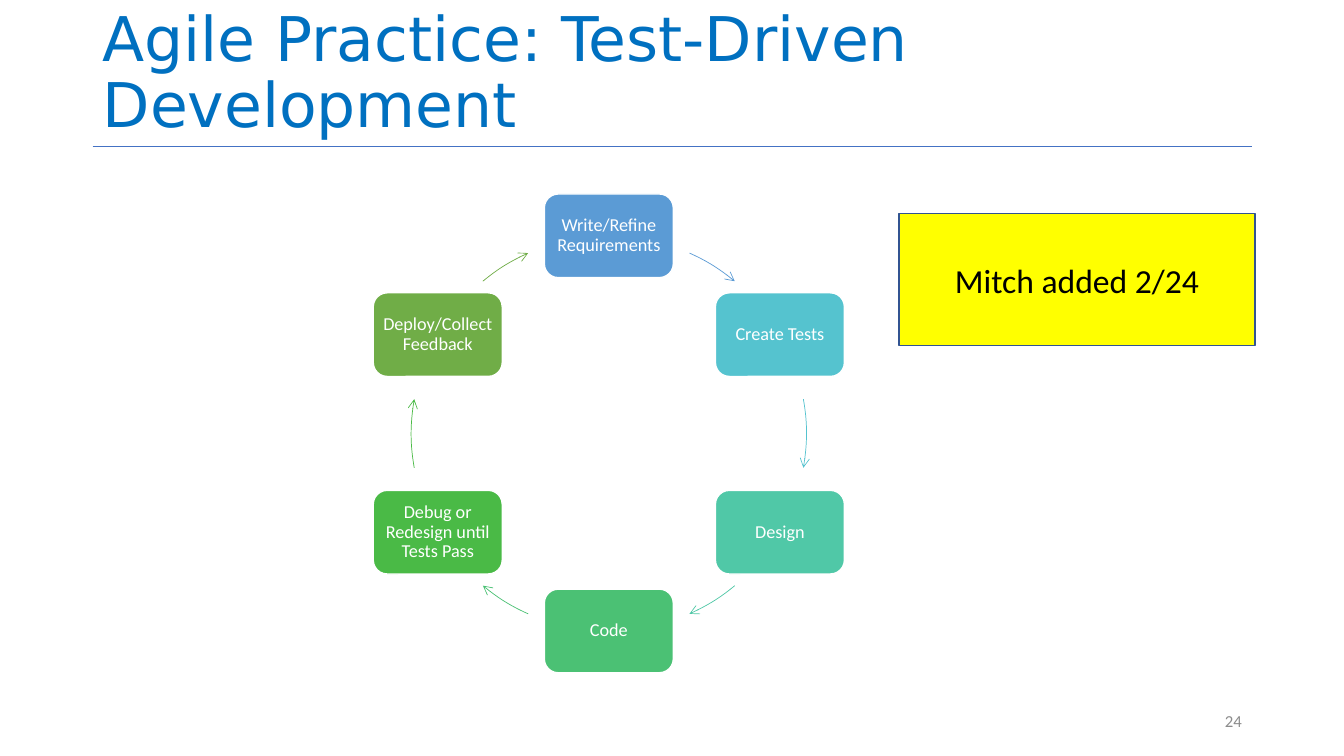
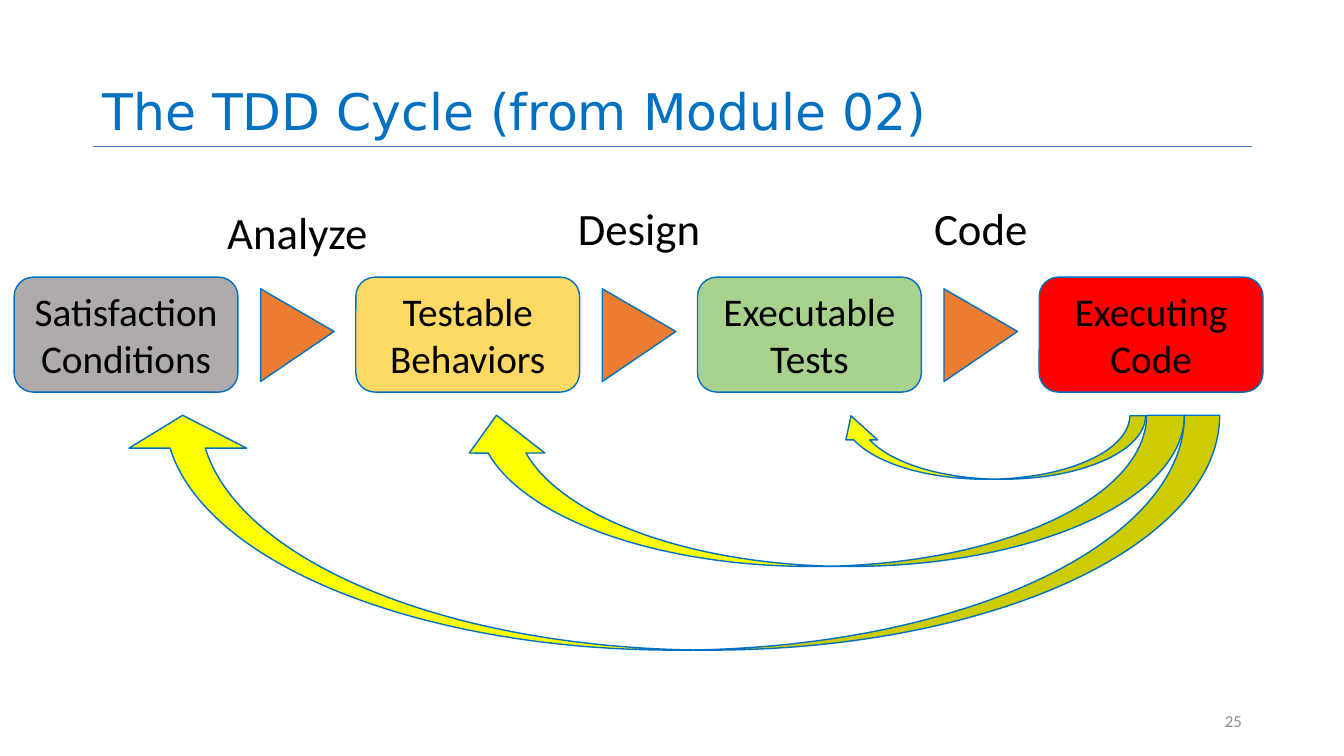
from dataclasses import dataclass
from math import cos, radians, sin, tan

from lxml.etree import SubElement
from pptx import Presentation
from pptx.dml.color import RGBColor
from pptx.enum.shapes import MSO_CONNECTOR, MSO_SHAPE
from pptx.enum.text import MSO_ANCHOR, PP_ALIGN
from pptx.oxml.ns import qn
from pptx.presentation import Presentation as Deck
from pptx.shapes.autoshape import Shape
from pptx.slide import Slide
from pptx.util import Inches, Pt

BODY_FONT = "Calibri"
TITLE_FONT = "DejaVu Sans"
BLUE = "0070C0"
RULE_BLUE = "4472C4"
BLACK = "000000"
WHITE = "FFFFFF"
GRAY = "8C8C8C"
YELLOW = "FFFF00"
ORANGE = "ED7D31"

RING_X, RING_Y, RING_RADIUS = 6.04, 4.3, 1.96
STEP_WIDTH, STEP_HEIGHT = 1.28, 0.83

STAGE_LEFT, STAGE_PITCH = 0.14, 3.39


@dataclass
class Step:
    text: str
    color: str
    arc_start: float
    arc_end: float


@dataclass
class Stage:
    text: str
    color: str


@dataclass
class Transition:
    text: str
    label_top: float


@dataclass
class Feedback:
    left: float
    top: float
    width: float
    height: float
    adjustments: tuple[float, float, float]


STEPS = [
    Step("Write/Refine Requirements", "5B9BD5", -65.9, -50.4),
    Step("Create Tests", "55C3CF", -10, 10),
    Step("Design", "50C8A7", 50.4, 65.9),
    Step("Code", "4BC174", 114.1, 129.6),
    Step("Debug or Redesign until Tests Pass", "4ABA46", 170, 190),
    Step("Deploy/Collect Feedback", "70AD47", 230.4, 245.9),
]
STAGES = [
    Stage("Satisfaction Conditions", "AFABAB"),
    Stage("Testable Behaviors", "FFD966"),
    Stage("Executable Tests", "A9D18E"),
    Stage("Executing Code", "FF0000"),
]
TRANSITIONS = [
    Transition("Analyze", 2),
    Transition("Design", 1.96),
    Transition("Code", 1.96),
]
FEEDBACKS = [
    Feedback(9.51, 2.9, 0.63, 3.08, (0.25, 0.5, 0.38)),
    Feedback(7.4, 1.27, 1.5, 7.2, (0.25, 0.5, 0.25)),
    Feedback(5.5, -0.15, 2.33, 10.87, (0.15, 0.5, 0.14)),
]


def color_of(value: str) -> RGBColor:
    return RGBColor.from_string(value)


def write(box: Shape, text: str, *, size: float, color: str = BLACK,
          font: str = BODY_FONT, align: PP_ALIGN = PP_ALIGN.CENTER,
          anchor: MSO_ANCHOR = MSO_ANCHOR.MIDDLE, spacing: float = 1.0,
          inset: float | None = None) -> None:
    frame = box.text_frame
    frame.word_wrap = True
    frame.vertical_anchor = anchor
    if inset is not None:
        frame.margin_left = frame.margin_right = Inches(inset)
        frame.margin_top = frame.margin_bottom = Inches(inset)
    para = frame.paragraphs[0]
    para.alignment = align
    para.line_spacing = spacing
    span = para.add_run()
    span.text = text
    span.font.name = font
    span.font.size = Pt(size)
    span.font.color.rgb = color_of(color)


def add_text(page: Slide, left: float, top: float, width: float, height: float,
             text: str, **text_format) -> None:
    box = page.shapes.add_textbox(Inches(left), Inches(top), Inches(width), Inches(height))
    write(box, text, **text_format)


def add_box(page: Slide, kind: MSO_SHAPE, left: float, top: float, width: float,
            height: float, fill: str, line: str = BLUE, rotation: float = 0) -> Shape:
    box = page.shapes.add_shape(kind, Inches(left), Inches(top), Inches(width), Inches(height))
    box.shadow.inherit = False
    box.fill.solid()
    box.fill.fore_color.rgb = color_of(fill)
    box.line.color.rgb = color_of(line)
    box.line.width = Pt(1)
    box.rotation = rotation
    return box


def add_page(deck: Deck, title: str, title_size: float, number: int) -> Slide:
    page = deck.slides.add_slide(deck.slide_layouts[6])
    rule = page.shapes.add_connector(
        MSO_CONNECTOR.STRAIGHT, Inches(0.92), Inches(1.45), Inches(12.42), Inches(1.45))
    rule.line.color.rgb = color_of(RULE_BLUE)
    rule.line.width = Pt(0.5)
    SubElement(rule.element.spPr, qn("a:effectLst"))
    add_text(page, 0.92, 0, 11.5, 1.45, title, size=title_size, color=BLUE,
             font=TITLE_FONT, align=PP_ALIGN.LEFT, anchor=MSO_ANCHOR.BOTTOM, spacing=0.9)
    add_text(page, 9.42, 6.95, 3, 0.4, str(number), size=12, color=GRAY,
             align=PP_ALIGN.RIGHT)
    return page


def ring_point(angle: float, pull: float = 0) -> tuple[float, float]:
    turn = radians(angle)
    return (RING_X + RING_RADIUS * (cos(turn) - pull * sin(turn)),
            RING_Y + RING_RADIUS * (sin(turn) + pull * cos(turn)))


def add_arc_arrow(page: Slide, step: Step) -> None:
    left, top = RING_X - RING_RADIUS, RING_Y - RING_RADIUS
    right, bottom = RING_X + RING_RADIUS, RING_Y + RING_RADIUS
    builder = page.shapes.build_freeform(Inches(left), Inches(top))
    builder.add_line_segments([(Inches(right), Inches(bottom))], close=False)
    arc = builder.convert_to_shape()

    pull = 4 / 3 * tan(radians(step.arc_end - step.arc_start) / 4)
    outline = arc.element.spPr.find(".//" + qn("a:path"))
    for segment in list(outline):
        outline.remove(segment)
    curve = {
        "a:moveTo": [ring_point(step.arc_start)],
        "a:cubicBezTo": [ring_point(step.arc_start, pull),
                         ring_point(step.arc_end, -pull), ring_point(step.arc_end)],
    }
    for tag, points in curve.items():
        segment = SubElement(outline, qn(tag))
        for x, y in points:
            SubElement(segment, qn("a:pt"), x=str(Inches(x - left)), y=str(Inches(y - top)))

    arc.shadow.inherit = False
    arc.fill.background()
    arc.line.color.rgb = color_of(step.color)
    arc.line.width = Pt(0.5)
    SubElement(arc.element.spPr.find(qn("a:ln")), qn("a:tailEnd"), type="arrow")


def build_practice(deck: Deck) -> None:
    page = add_page(deck, "Agile Practice: Test-Driven Development", 44, 24)
    for index, step in enumerate(STEPS):
        x, y = ring_point(-90 + index * 360 / len(STEPS))
        box = add_box(page, MSO_SHAPE.ROUNDED_RECTANGLE, x - STEP_WIDTH / 2,
                      y - STEP_HEIGHT / 2, STEP_WIDTH, STEP_HEIGHT, step.color, WHITE)
        write(box, step.text, size=13, color=WHITE, spacing=0.9, inset=0.05)
        add_arc_arrow(page, step)
    note = add_box(page, MSO_SHAPE.RECTANGLE, 8.92, 2.12, 3.53, 1.31, YELLOW, "325491")
    write(note, "Mitch added 2/24", size=24)


def build_cycle(deck: Deck) -> None:
    page = add_page(deck, "The TDD Cycle (from Module 02)", 36, 25)
    for index, stage in enumerate(STAGES):
        box = add_box(page, MSO_SHAPE.ROUNDED_RECTANGLE, STAGE_LEFT + index * STAGE_PITCH,
                      2.75, 2.22, 1.14, stage.color)
        write(box, stage.text, size=28)
    for index, transition in enumerate(TRANSITIONS):
        offset = index * STAGE_PITCH
        triangle = add_box(page, MSO_SHAPE.ISOSCELES_TRIANGLE, 2.49 + offset, 2.96,
                           0.92, 0.73, ORANGE, rotation=90)
        triangle.adjustments[0] = 0.46
        add_text(page, 1.75 + offset, transition.label_top, 2.4, 0.6,
                 transition.text, size=32)
    for feedback in FEEDBACKS:
        arrow = add_box(page, MSO_SHAPE.CURVED_LEFT_ARROW, feedback.left, feedback.top,
                        feedback.width, feedback.height, YELLOW, rotation=90)
        for index, value in enumerate(feedback.adjustments):
            arrow.adjustments[index] = value


def main() -> None:
    deck = Presentation()
    deck.slide_width = Inches(40 / 3)
    deck.slide_height = Inches(7.5)
    build_practice(deck)
    build_cycle(deck)
    deck.save("out.pptx")


if __name__ == "__main__":
    main()
